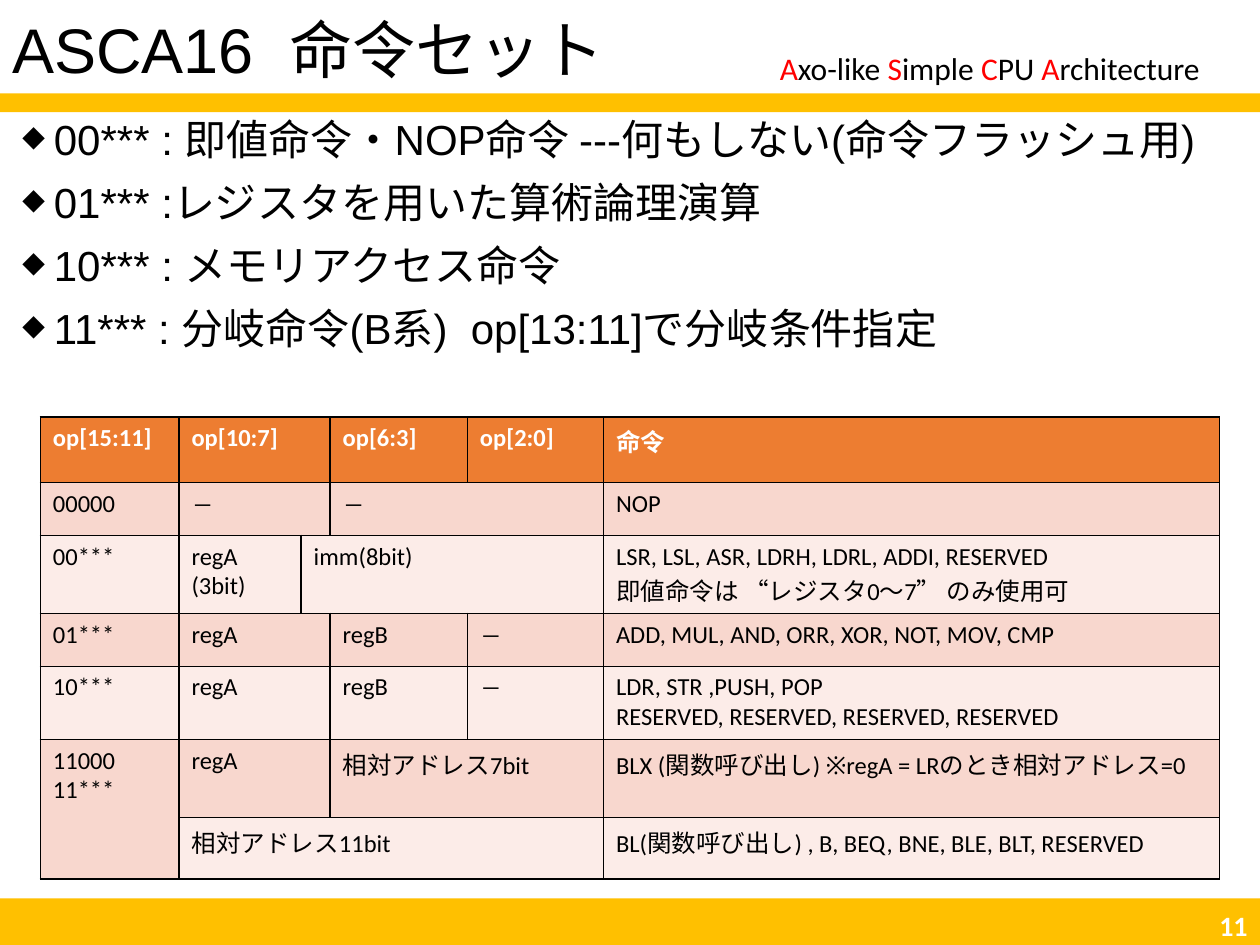
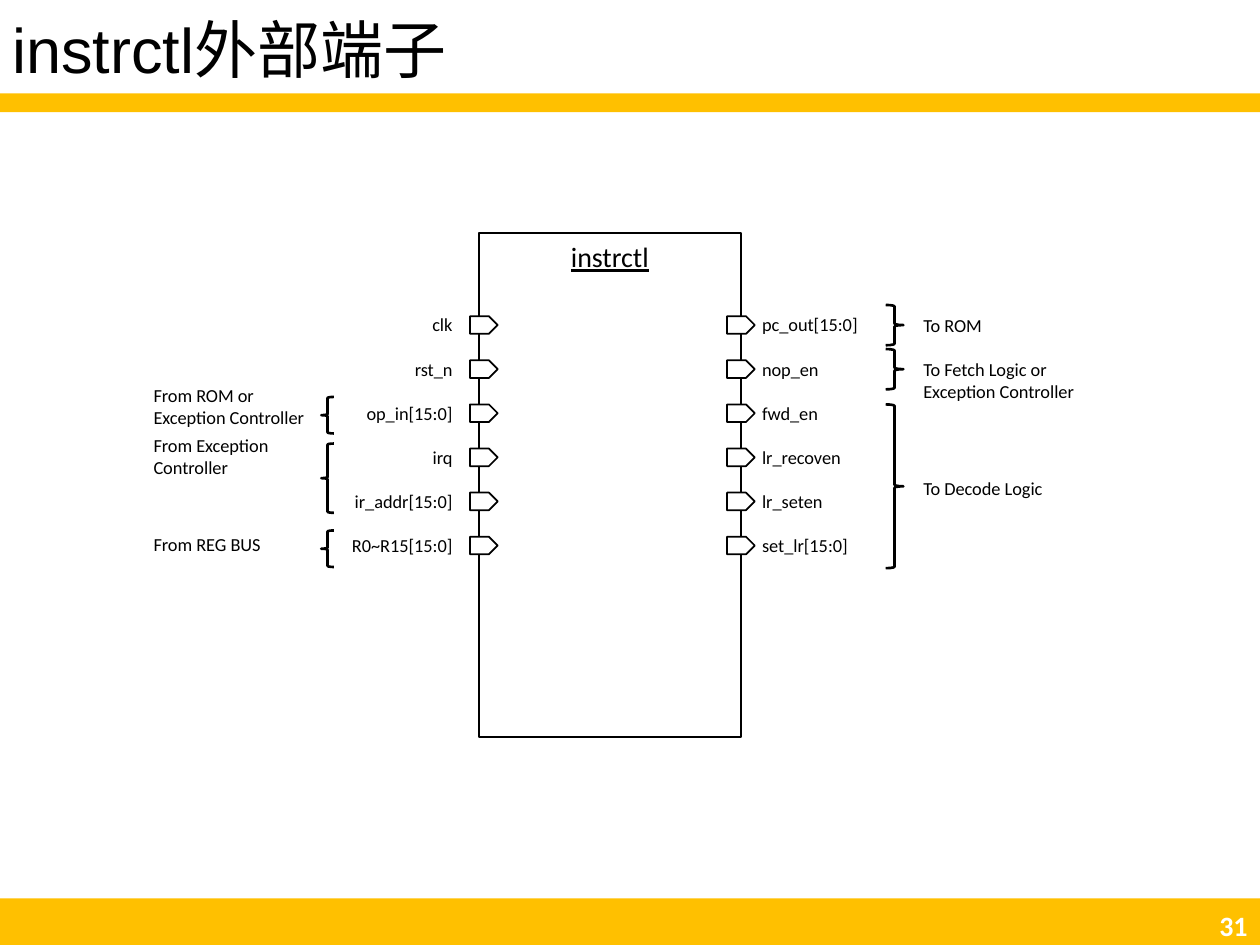
"""Build two slides on a small CPU: its instruction set table and a block with its ports."""
from lxml.etree import SubElement
from pptx import Presentation
from pptx.dml.color import RGBColor
from pptx.enum.shapes import MSO_SHAPE
from pptx.enum.text import MSO_ANCHOR, PP_ALIGN
from pptx.oxml.ns import qn
from pptx.util import Inches, Pt

COLOURS = {
    "band": "FFC000", "text": "000000", "light": "FFFFFF", "accent": "FF0000",
    "header": "ED7D31", "odd": "F8D7CE", "even": "FCECE8",
}
UNIT = Inches(0.1)
COLUMNS, ROWS = 100, 75
TITLES = [("ASCA16  命令セット", "11"), ("instrctl外部端子", "31")]


def write_text(frame, text, size=10.5, font="Calibri", colour="text", bold=False,
               underline=False, align=PP_ALIGN.LEFT, anchor=MSO_ANCHOR.TOP,
               spacing=None, before=0, after=0, bullet=None):
    """Fill a frame, one paragraph a line; pieces between bars take the accent colour."""
    frame.word_wrap = True
    frame.vertical_anchor = anchor
    for number, line in enumerate(text.split("\n")):
        para = frame.add_paragraph() if number else frame.paragraphs[0]
        para.alignment = align
        para.line_spacing = spacing
        para.space_before, para.space_after = Pt(before), Pt(after)
        if bullet:
            properties = para._p.get_or_add_pPr()
            properties.set("marL", str(Inches(0.33)))
            properties.set("indent", str(-Inches(0.25)))
            SubElement(properties, qn("a:buSzPct")).set("val", "70000")
            SubElement(properties, qn("a:buChar")).set("char", bullet)
        for index, piece in enumerate(line.split("|")):
            if not piece:
                continue
            span = para.add_run()
            span.text = piece
            span.font.size, span.font.name = Pt(size), font
            span.font.bold, span.font.underline = bold, underline
            shade = "accent" if index % 2 else colour
            span.font.color.rgb = RGBColor.from_string(COLOURS[shade])


def add_box(page, left, top, width, height, kind=None, fill=None, line=None):
    """Place a text box, or a preset shape if a kind is given, in grid units."""
    area = [round(length * UNIT) for length in (left, top, width, height)]
    if kind is None:
        return page.shapes.add_textbox(*area)
    box = page.shapes.add_shape(kind, *area)
    box.shadow.inherit = False
    if fill:
        box.fill.solid()
        box.fill.fore_color.rgb = RGBColor.from_string(COLOURS[fill])
    else:
        box.fill.background()
    if line:
        box.line.width = Pt(line)
        box.line.color.rgb = RGBColor.from_string(COLOURS["text"])
    else:
        box.line.fill.background()
    return box


deck = Presentation()
deck.slide_width, deck.slide_height = COLUMNS * UNIT, ROWS * UNIT

pages = []
for title, number in TITLES:
    page = deck.slides.add_slide(deck.slide_layouts[6])
    for top, height in [(71.3, 3.7), (7.4, 1.5)]:
        add_box(page, 0, top, COLUMNS, height, MSO_SHAPE.RECTANGLE, fill="band")
    write_text(add_box(page, 0, 0.4, 86.2, 7.6).text_frame, title, size=36,
               font="Arial", spacing=0.9, anchor=MSO_ANCHOR.MIDDLE)
    write_text(add_box(page, 77.5, 71.8, 22.5, 3.2).text_frame, number, size=16,
               colour="light", bold=True, align=PP_ALIGN.RIGHT, anchor=MSO_ANCHOR.MIDDLE)
    pages.append(page)
instruction_page, port_page = pages

GROUPS = """00*** : 即値命令・NOP命令 ---何もしない(命令フラッシュ用)
01*** :レジスタを用いた算術論理演算
10*** : メモリアクセス命令
11*** : 分岐命令(B系)  op[13:11]で分岐条件指定"""
write_text(add_box(instruction_page, 0, 9, COLUMNS, 22.3).text_frame, GROUPS, size=24,
           font="Arial", spacing=0.9, before=10, bullet="◆")
write_text(add_box(instruction_page, 60.9, 3.4, 39.1, 4).text_frame,
           "|A|xo-like |S|imple |C|PU |A|rchitecture", size=18)

COLUMN_WIDTHS = [11, 9.7, 2.3, 10.9, 10.8, 48.9]
ROW_HEIGHTS = [5.2, 4.2, 6.2, 4.2, 5.8, 6.2, 4.9]
INSTRUCTIONS = [
    {0: "op[15:11]", 1: "op[10:7]", 3: "op[6:3]", 4: "op[2:0]", 5: "命令"},
    {0: "00000", 1: "―", 3: "―", 5: "NOP"},
    {0: "00***", 1: "regA\n(3bit)", 2: "imm(8bit)",
     5: "LSR, LSL, ASR, LDRH, LDRL, ADDI, RESERVED\n即値命令は “レジスタ0～7” のみ使用可"},
    {0: "01***", 1: "regA", 3: "regB", 4: "―",
     5: "ADD, MUL, AND, ORR, XOR, NOT, MOV, CMP"},
    {0: "10***", 1: "regA", 3: "regB", 4: "―",
     5: "LDR, STR ,PUSH, POP\nRESERVED, RESERVED, RESERVED, RESERVED"},
    {0: "11000\n11***", 1: "regA", 3: "相対アドレス7bit",
     5: "BLX (関数呼び出し) ※regA = LRのとき相対アドレス=0"},
    {1: "相対アドレス11bit", 5: "BL(関数呼び出し) , B, BEQ, BNE, BLE, BLT, RESERVED"},
]
table = instruction_page.shapes.add_table(
    len(ROW_HEIGHTS), len(COLUMN_WIDTHS), round(3.2 * UNIT), round(33.1 * UNIT),
    round(sum(COLUMN_WIDTHS) * UNIT), round(sum(ROW_HEIGHTS) * UNIT)).table
table.first_row = table.horz_banding = False
for column, width in zip(table.columns, COLUMN_WIDTHS):
    column.width = round(width * UNIT)
for row, height in zip(table.rows, ROW_HEIGHTS):
    row.height = round(height * UNIT)

for row_number, entries in enumerate(INSTRUCTIONS):
    header = row_number == 0
    fill = "header" if header else "odd" if row_number % 2 else "even"
    for column_number in range(len(COLUMN_WIDTHS)):
        cell = table.cell(row_number, column_number)
        properties = cell._tc.get_or_add_tcPr()
        for side in ("a:lnL", "a:lnR", "a:lnT", "a:lnB"):
            border = SubElement(properties, qn(side), w=str(Pt(1)))
            paint = SubElement(border, qn("a:solidFill"))
            SubElement(paint, qn("a:srgbClr"), val=COLOURS["text"])
        cell.fill.solid()
        cell.fill.fore_color.rgb = RGBColor.from_string(COLOURS[fill])
    starts = list(entries)
    for start, end in zip(starts, starts[1:] + [len(COLUMN_WIDTHS)]):
        cell = table.cell(row_number, start)
        if end - start > 1:
            cell.merge(table.cell(row_number, end - 1))
        write_text(cell.text_frame, entries[start], size=14, bold=header,
                   colour="light" if header else "text")
table.cell(5, 0).merge(table.cell(6, 0))

block = add_box(port_page, 38, 18.5, 20.8, 40, MSO_SHAPE.RECTANGLE, line=1)
write_text(block.text_frame, "instrctl", size=16, underline=True, align=PP_ALIGN.CENTER)

INPUTS = ["clk", "rst_n", "op_in[15:0]", "irq", "ir_addr[15:0]", "R0~R15[15:0]"]
OUTPUTS = ["pc_out[15:0]", "nop_en", "fwd_en", "lr_recoven", "lr_seten", "set_lr[15:0]"]
PORT_TOP, PORT_PITCH = 25.1, 3.5
PORT_SIDES = [
    (INPUTS, 37.3, 23.9, 13, PP_ALIGN.RIGHT),
    (OUTPUTS, 57.7, 59.5, 17.6, PP_ALIGN.LEFT),
]
for names, port_left, names_left, names_width, align in PORT_SIDES:
    for index in range(len(names)):
        add_box(port_page, port_left, PORT_TOP + index * PORT_PITCH, 2.2, 1.4,
                MSO_SHAPE.PENTAGON, fill="light", line=1)
    write_text(add_box(port_page, names_left, 24.4, names_width, 21).text_frame,
               "\n".join(names), align=align, after=12.6)

LEFT_BRACE = (MSO_SHAPE.LEFT_BRACE, 25.5, 1, 11.2)
RIGHT_BRACE = (MSO_SHAPE.RIGHT_BRACE, 70.3, 1.4, 72.3)
CONNECTIONS = [
    (LEFT_BRACE, 31.5, 2.9, 30, "From ROM or\nException Controller"),
    (LEFT_BRACE, 35.2, 5.5, 34, "From Exception\nController"),
    (LEFT_BRACE, 42.1, 2.9, 41.8, "From REG BUS"),
    (RIGHT_BRACE, 24.2, 3.2, 24.4, "To ROM"),
    (RIGHT_BRACE, 27.7, 3.2, 27.9, "To Fetch Logic or\nException Controller"),
    (RIGHT_BRACE, 32.1, 13, 37.4, "To Decode Logic"),
]
for (kind, left, width, label_left), top, height, label_top, label in CONNECTIONS:
    add_box(port_page, left, top, width, height, kind, line=1.5)
    label_height = 2.8 + 1.7 * label.count("\n")
    write_text(add_box(port_page, label_left, label_top, 14.5, label_height).text_frame, label)

deck.save("out.pptx")
